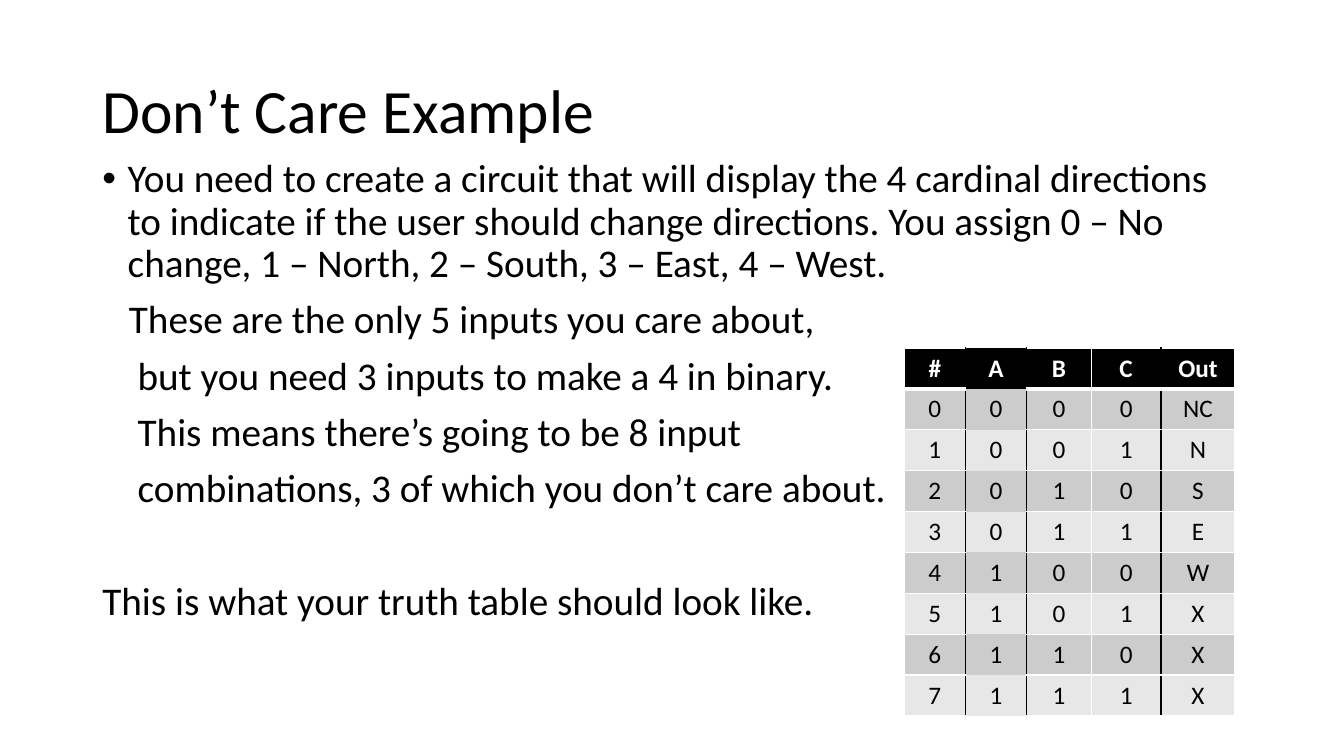
from pptx import Presentation
from pptx.dml.color import RGBColor
from pptx.enum.text import MSO_ANCHOR, PP_ALIGN
from pptx.oxml.ns import qn
from pptx.util import Cm, Pt
from lxml.etree import SubElement

BLACK = RGBColor(0x00, 0x00, 0x00)
WHITE = RGBColor(0xFF, 0xFF, 0xFF)
DARK_BAND = RGBColor(0xCC, 0xCC, 0xCC)
LIGHT_BAND = RGBColor(0xE7, 0xE7, 0xE7)
NO_STYLE = "{2D5ABB26-0587-4C30-8999-92F81FD0307C}"

OUTPUTS = ["NC", "N", "S", "E", "W", "X", "X", "X"]
COL_WIDTHS = [1.54, 1.54, 1.63, 1.76, 1.86]
ROW_HEIGHT = 1.03

# Border colours per column: left, right, top, bottom
OUTER = {"L": WHITE, "R": BLACK, "T": WHITE, "B": WHITE}
COL_BORDERS = [
    OUTER,
    {"L": BLACK},
    {"R": WHITE, "T": WHITE, "B": WHITE},
    OUTER,
    {"L": BLACK, "R": WHITE, "T": WHITE, "B": WHITE},
]

# Text, left indent in cm, space before in points, bulleted
BODY = [
    ("You need to create a circuit that will display the 4 cardinal "
     "directions to indicate if the user should change directions. "
     "You assign 0 – No change, 1 – North, 2 – South, 3 – East, 4 – West.",
     0.64, 10, True),
    ("These are the only 5 inputs you care about,", 0.67, 10, False),
    ("but you need 3 inputs to make a 4 in binary.", 0.89, 10, False),
    ("This means there’s going to be 8 input", 0.89, 10, False),
    ("combinations, 3 of which you don’t care about.", 0.89, 10, False),
    ("This is what your truth table should look like.", 0, 50.5, False),
]


class Deck:
    """Holds the text style and the current slide."""

    font = "Calibri"

    def __init__(self, prs):
        """Add a blank slide to the presentation."""
        self.s = prs.slides.add_slide(prs.slide_layouts[6])

    def run(self, p, text, size, color=BLACK, bold=False):
        """Add one styled run to a paragraph."""
        r = p.add_run()
        r.text = text
        r.font.name = self.font
        r.font.size = Pt(size)
        r.font.bold = bold
        r.font.color.rgb = color

    def text(self, x, y, w, h, paragraphs, size, anchor=MSO_ANCHOR.TOP):
        """Add a wrapping text box with indented paragraphs."""
        tf = self.s.shapes.add_textbox(Cm(x), Cm(y), Cm(w), Cm(h)).text_frame
        tf.word_wrap = True
        tf.vertical_anchor = anchor
        for i, (text, indent, before, bulleted) in enumerate(paragraphs):
            p = tf.paragraphs[0] if i == 0 else tf.add_paragraph()
            p.line_spacing = 0.9
            p.space_before = Pt(before)
            pPr = p._p.get_or_add_pPr()
            pPr.set("marL", str(Cm(indent)))
            pPr.set("indent", str(-Cm(indent) if bulleted else 0))
            if bulleted:
                SubElement(pPr, qn("a:buFont")).set("typeface", "Arial")
                SubElement(pPr, qn("a:buChar")).set("char", "•")
            self.run(p, text, size)

    def borders(self, cell, colors, bottom):
        """Draw the given cell borders, with its own width at the bottom."""
        tcPr = cell._tc.get_or_add_tcPr()
        for side, color in colors.items():
            width = bottom if side == "B" else 1
            ln = SubElement(tcPr, qn("a:ln" + side), w=str(Pt(width)))
            fill = SubElement(ln, qn("a:solidFill"))
            SubElement(fill, qn("a:srgbClr")).set("val", str(color))

    def table(self, x, y, rows):
        """Add a banded table with a black header row."""
        frame = self.s.shapes.add_table(
            len(rows), len(COL_WIDTHS), Cm(x), Cm(y),
            Cm(sum(COL_WIDTHS)), Cm(ROW_HEIGHT * len(rows)))
        next(frame.element.iter(qn("a:tableStyleId"))).text = NO_STYLE
        table = frame.table
        for column, width in zip(table.columns, COL_WIDTHS):
            column.width = Cm(width)
        for i, values in enumerate(rows):
            table.rows[i].height = Cm(ROW_HEIGHT)
            header = i == 0
            band = BLACK if header else DARK_BAND if i % 2 else LIGHT_BAND
            for j, value in enumerate(values):
                cell = table.cell(i, j)
                self.borders(cell, COL_BORDERS[j], 3 if header else 1)
                cell.fill.solid()
                cell.fill.fore_color.rgb = band
                p = cell.text_frame.paragraphs[0]
                p.alignment = PP_ALIGN.CENTER
                self.run(p, value, 18, WHITE if header else BLACK, header)


def main():
    """Build and save the slide."""
    prs = Presentation()
    prs.slide_width, prs.slide_height = Cm(33.87), Cm(19.05)
    deck = Deck(prs)
    deck.text(2.33, 1.01, 29.21, 3.68, [("Don’t Care Example", 0, 0, False)],
              44, MSO_ANCHOR.MIDDLE)
    deck.text(2.33, 3.88, 29.21, 12.09, BODY, 28)
    truth_rows = [[str(n), *format(n, "03b"), out]
                  for n, out in enumerate(OUTPUTS)]
    deck.table(22.79, 8.77, [["#", "A", "B", "C", "Out"], *truth_rows])
    prs.save("out.pptx")


main()
